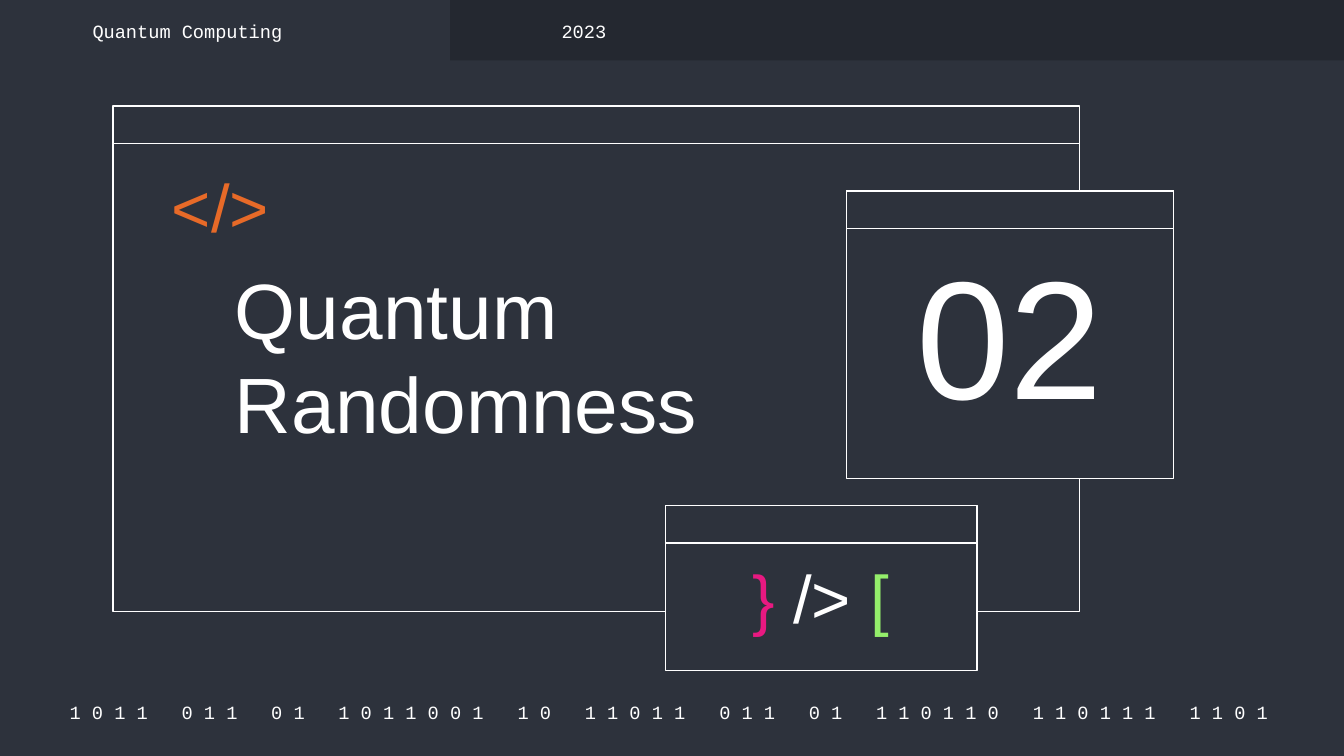
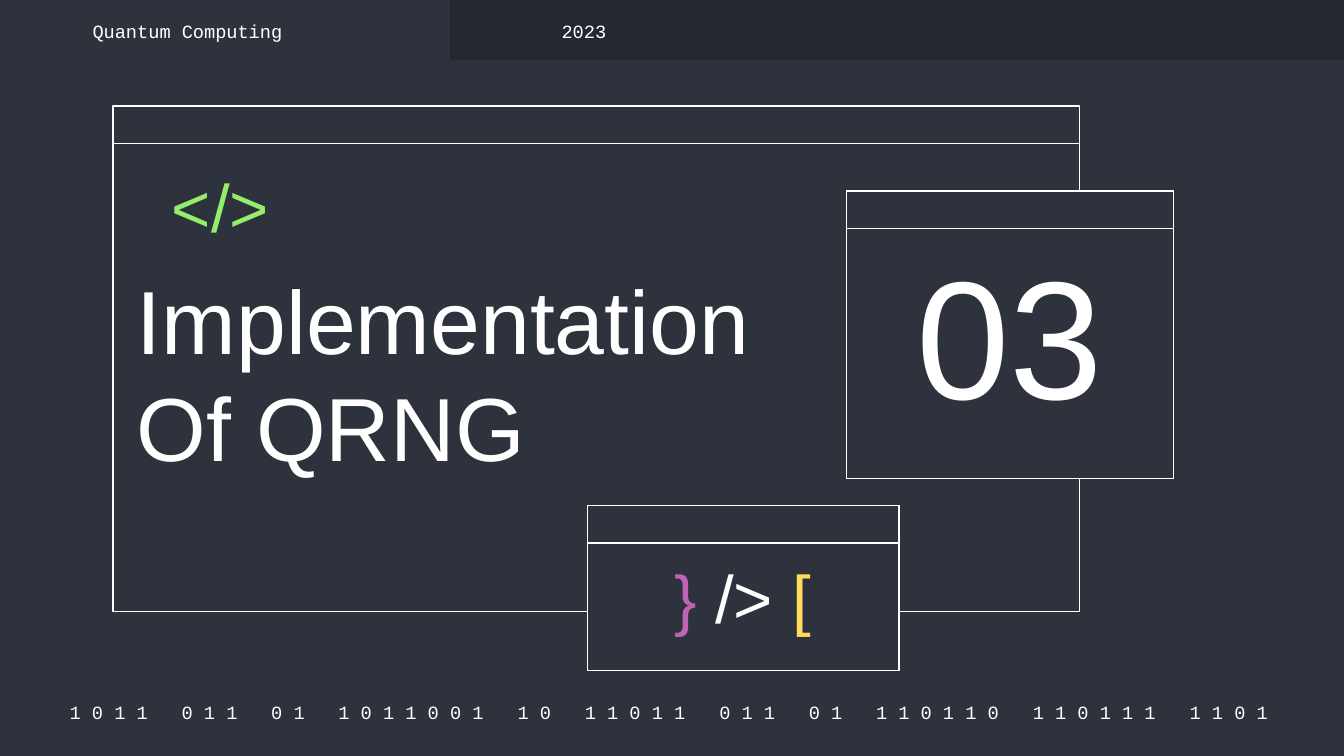
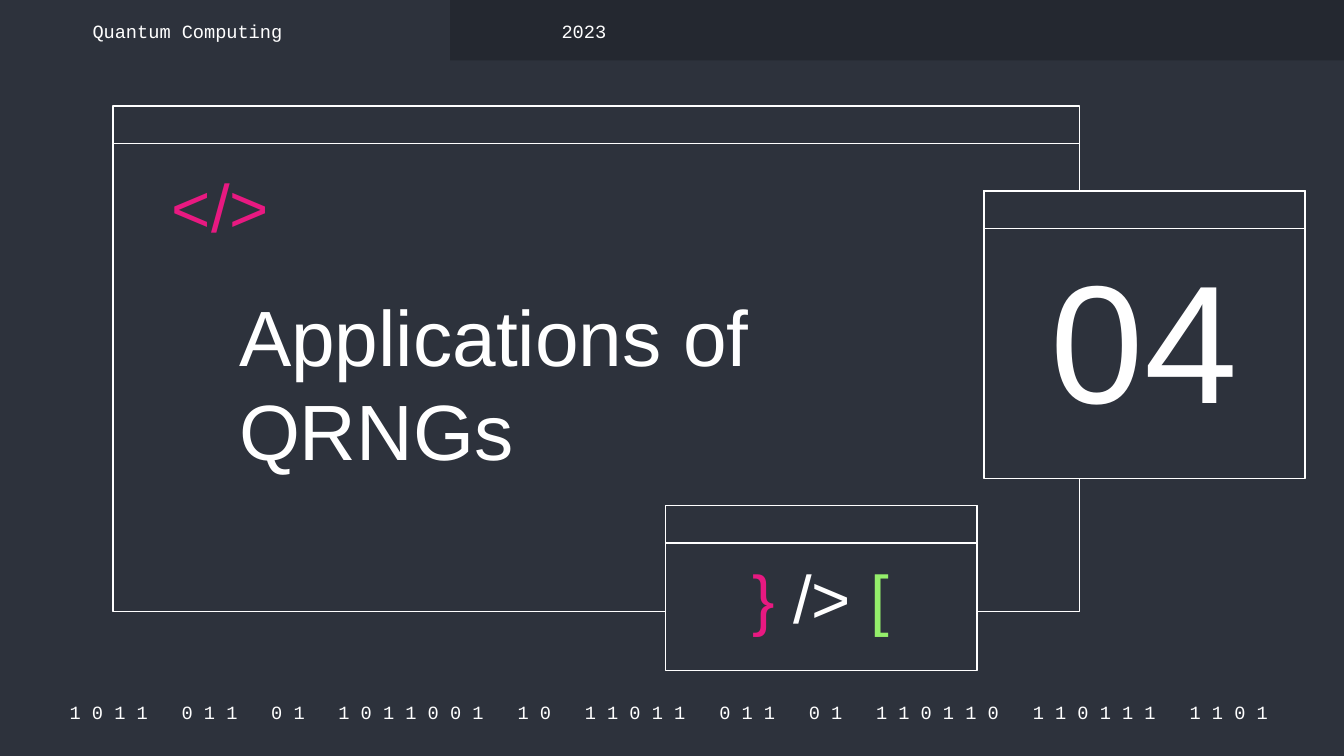
from dataclasses import dataclass
from typing import Sequence

import pptx
import pptx.dml.color
import pptx.enum.shapes
import pptx.enum.text
import pptx.oxml
import pptx.presentation
import pptx.slide
import pptx.util
from pptx.oxml import ns

Inches = pptx.util.Inches
Pt = pptx.util.Pt
Align = pptx.enum.text.PP_ALIGN
Anchor = pptx.enum.text.MSO_ANCHOR


@dataclass(frozen=True)
class Theme:
    background: str = "2D323C"
    band: str = "242830"
    white: str = "FFFFFF"
    orange: str = "E76A28"
    pink: str = "E81981"
    green: str = "94EE6B"
    purple: str = "BD64B5"
    yellow: str = "FFDB5D"
    sans: str = "Arial"
    mono: str = "Courier New"
    small: float = 10
    symbol: float = 36
    title: float = 42
    large_title: float = 48
    number: float = 90
    outline: float = 0.75
    title_leading: float = 1.2
    symbol_leading: float = 0.9


THEME = Theme()


@dataclass(frozen=True)
class Box:
    left: float
    top: float
    width: float
    height: float

    def lengths(self) -> tuple:
        return tuple(Inches(value) for value in (self.left, self.top, self.width, self.height))


@dataclass(frozen=True)
class Piece:
    text: str
    color: str = THEME.white


@dataclass(frozen=True)
class Style:
    size: float
    font: str = THEME.sans
    align: Align = Align.LEFT
    anchor: Anchor = Anchor.TOP
    line_spacing: float | pptx.util.Length | None = None


@dataclass(frozen=True)
class Section:
    number: str
    title: tuple[str, ...]
    title_box: Box
    title_size: float
    tag_color: str
    bracket_colors: tuple[str, str]
    code_left: float
    number_window: Box
    number_box: Box


LABEL = Style(THEME.small, THEME.mono, anchor=Anchor.MIDDLE)
TAG = Style(THEME.symbol, align=Align.RIGHT, line_spacing=THEME.symbol_leading)
CODE = Style(THEME.symbol, align=Align.CENTER, line_spacing=THEME.symbol_leading)
NUMBER = Style(THEME.number, align=Align.CENTER, anchor=Anchor.BOTTOM)

TITLE_BAR_HEIGHT = 0.28
HEADER_BAND = Box(3.35, 0, 6.65, 0.45)
MAIN_WINDOW = Box(0.84, 0.79, 7.19, 3.76)
TAG_BOX = Box(0.92, 1.2, 1.18, 0.62)
BINARY_BOX = Box(0.42, 5.2, 9.23, 0.2)
HEADER_LABELS = (
    ("Quantum Computing", Box(0.59, 0.13, 2.19, 0.2)),
    ("2023", Box(4.08, 0.13, 2.19, 0.2)),
)
BINARY_GROUPS = (
    "1011", "011", "01", "1011001", "10", "11011",
    "011", "01", "110110", "110111", "1101",
)
BINARY_GAP_CHARACTERS = 3
MONO_WIDTH_RATIO = 0.6

SECTIONS = (
    Section(
        "02", ("Quantum", "Randomness"), Box(1.65, 1.84, 6.08, 1.65), THEME.title,
        THEME.orange, (THEME.pink, THEME.green), 4.95,
        Box(6.3, 1.42, 2.43, 2.14), Box(6.3, 1.67, 2.43, 1.65),
    ),
    Section(
        "03", ("Implementation", "Of QRNG"), Box(0.92, 1.87, 5.28, 0.9), THEME.large_title,
        THEME.green, (THEME.purple, THEME.yellow), 4.37,
        Box(6.3, 1.42, 2.43, 2.14), Box(6.3, 1.67, 2.43, 1.65),
    ),
    Section(
        "04", ("Applications of", "QRNGs"), Box(1.68, 2.04, 5.89, 1.65), THEME.title,
        THEME.pink, (THEME.pink, THEME.green), 4.95,
        Box(7.32, 1.42, 2.39, 2.14), Box(7.48, 1.7, 2.07, 1.65),
    ),
)


def rgb(color: str) -> pptx.dml.color.RGBColor:
    return pptx.dml.color.RGBColor.from_string(color)


def add_rectangle(shapes, box: Box, fill: str, outline: str | None = None) -> None:
    shape = shapes.add_shape(pptx.enum.shapes.MSO_SHAPE.RECTANGLE, *box.lengths())
    shape.shadow.inherit = False
    shape.fill.solid()
    shape.fill.fore_color.rgb = rgb(fill)
    if outline is None:
        shape.line.fill.background()
    else:
        shape.line.color.rgb = rgb(outline)
        shape.line.width = Pt(THEME.outline)


def add_window(slide: pptx.slide.Slide, box: Box) -> None:
    group = slide.shapes.add_group_shape()
    title_bar = Box(box.left, box.top, box.width, TITLE_BAR_HEIGHT)
    for part in (box, title_bar):
        add_rectangle(group.shapes, part, THEME.background, THEME.white)


def add_text(
    slide: pptx.slide.Slide,
    box: Box,
    lines: Sequence[Sequence[Piece]],
    style: Style,
    tab_stops: Sequence[float] = (),
) -> None:
    text_frame = slide.shapes.add_textbox(*box.lengths()).text_frame
    text_frame.word_wrap = True
    text_frame.vertical_anchor = style.anchor
    text_frame.margin_left = text_frame.margin_right = Inches(0.1)
    text_frame.margin_top = text_frame.margin_bottom = Inches(0.1)
    for index, pieces in enumerate(lines):
        paragraph = text_frame.add_paragraph() if index else text_frame.paragraphs[0]
        paragraph.alignment = style.align
        if style.line_spacing is not None:
            paragraph.line_spacing = style.line_spacing
        if tab_stops:
            add_tab_stops(paragraph, tab_stops)
        for piece in pieces:
            run = paragraph.add_run()
            run.text = piece.text
            run.font.name = style.font
            run.font.size = Pt(style.size)
            run.font.color.rgb = rgb(piece.color)


def add_tab_stops(paragraph, positions: Sequence[float]) -> None:
    tabs = pptx.oxml.parse_xml(f"<a:tabLst {ns.nsdecls('a')}/>")
    for position in positions:
        tab = pptx.oxml.parse_xml(f"<a:tab {ns.nsdecls('a')} algn='l'/>")
        tab.set("pos", str(int(Pt(position))))
        tabs.append(tab)
    paragraph._p.get_or_add_pPr().append(tabs)


def add_binary_line(slide: pptx.slide.Slide) -> None:
    groups = [" ".join(digits) for digits in BINARY_GROUPS]
    tab_stops = []
    position = 0.0
    for group in groups[:-1]:
        position += (len(group) + BINARY_GAP_CHARACTERS) * THEME.small * MONO_WIDTH_RATIO
        tab_stops.append(position)
    add_text(slide, BINARY_BOX, [[Piece("\t".join(groups))]], LABEL, tab_stops)


def add_frame(slide: pptx.slide.Slide) -> None:
    add_binary_line(slide)
    add_rectangle(slide.shapes, HEADER_BAND, THEME.band)
    for label, box in HEADER_LABELS:
        add_text(slide, box, [[Piece(label)]], LABEL)


def add_code_window(slide: pptx.slide.Slide, left: float, colors: tuple[str, str]) -> None:
    brace_color, bracket_color = colors
    add_window(slide, Box(left, 3.76, 2.32, 1.23))
    pieces = [Piece("}", brace_color), Piece(" /> "), Piece("[", bracket_color)]
    add_text(slide, Box(left + 0.49, 4.11, 1.33, 0.82), [pieces], CODE)


def add_section(presentation: pptx.presentation.Presentation, section: Section) -> None:
    slide = presentation.slides.add_slide(presentation.slide_layouts[6])
    add_frame(slide)
    add_window(slide, MAIN_WINDOW)
    add_code_window(slide, section.code_left, section.bracket_colors)
    add_window(slide, section.number_window)
    title_style = Style(
        section.title_size, line_spacing=Pt(section.title_size * THEME.title_leading)
    )
    add_text(slide, section.title_box, [[Piece(line)] for line in section.title], title_style)
    add_text(slide, section.number_box, [[Piece(section.number)]], NUMBER)
    add_text(slide, TAG_BOX, [[Piece("</>", section.tag_color)]], TAG)


def main() -> None:
    presentation = pptx.Presentation()
    presentation.slide_width = Inches(10)
    presentation.slide_height = Inches(10) * 9 // 16
    background = presentation.slide_master.background.fill
    background.solid()
    background.fore_color.rgb = rgb(THEME.background)
    for section in SECTIONS:
        add_section(presentation, section)
    presentation.save("out.pptx")


if __name__ == "__main__":
    main()
